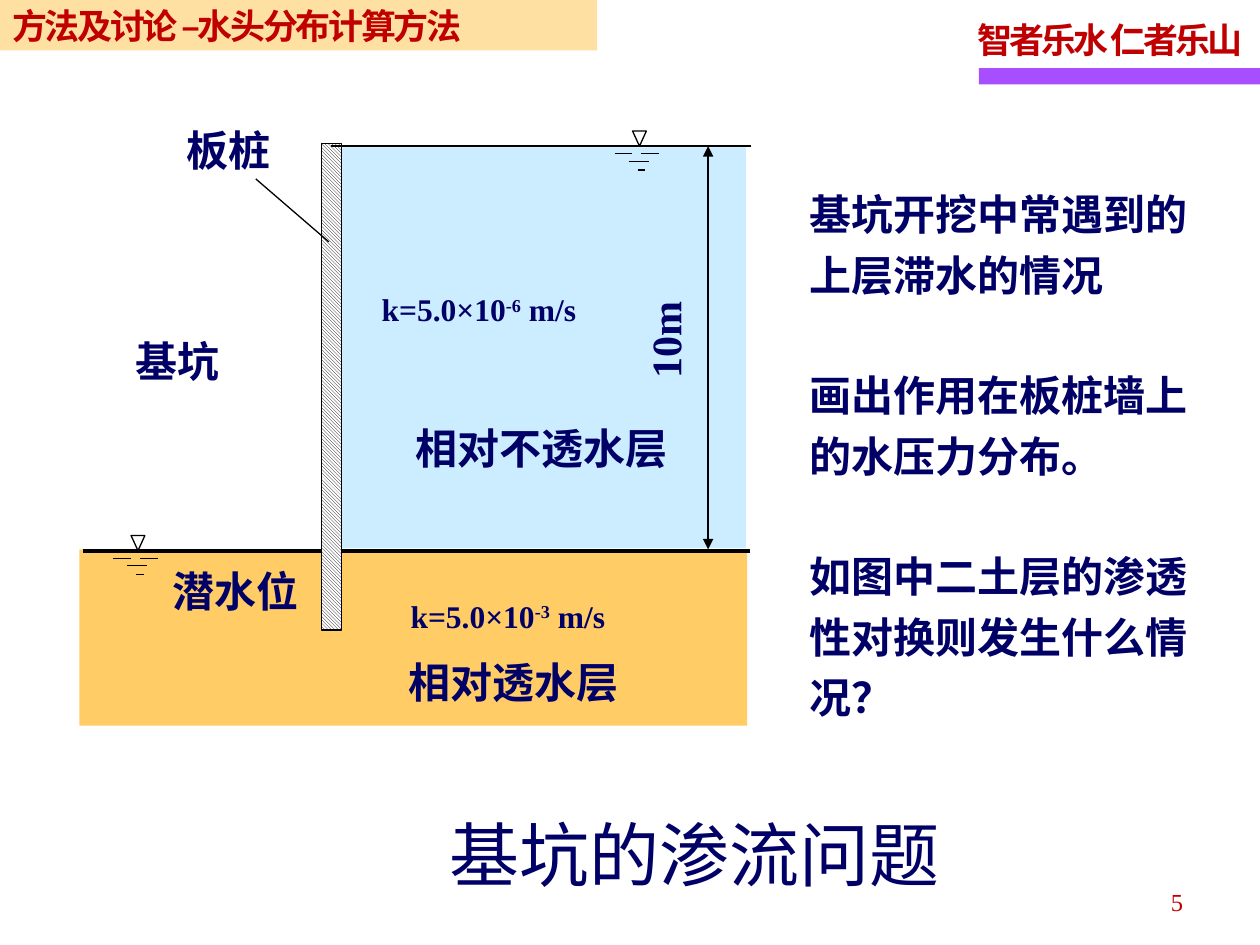
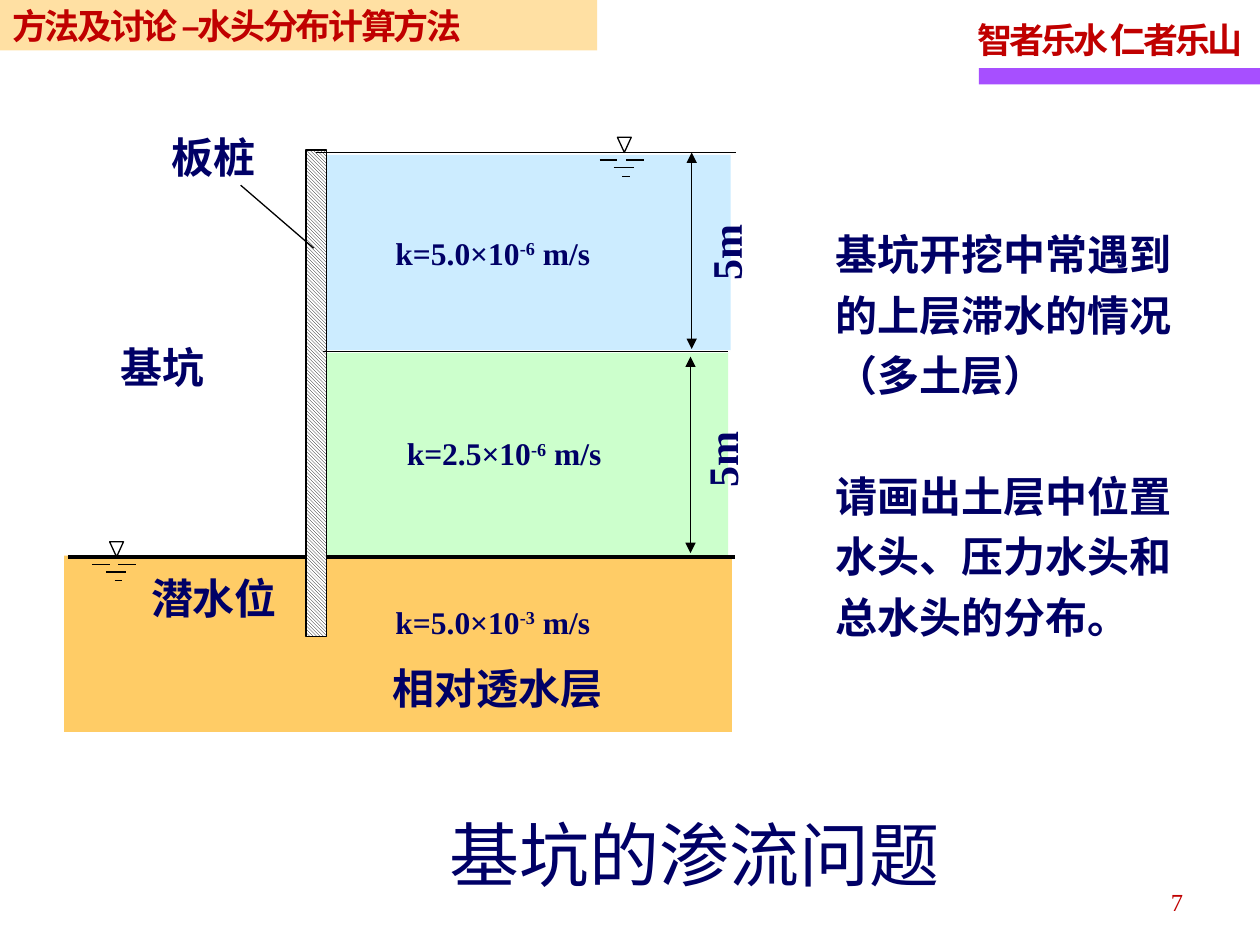
from dataclasses import dataclass

from lxml import etree
from pptx import Presentation
from pptx.dml.color import RGBColor
from pptx.enum.dml import MSO_PATTERN
from pptx.enum.shapes import MSO_CONNECTOR, MSO_SHAPE
from pptx.enum.text import MSO_ANCHOR, PP_ALIGN
from pptx.oxml.ns import qn
from pptx.util import Inches, Pt


@dataclass(frozen=True)
class Theme:
    ink: str = "000066"
    red: str = "C00000"
    purple: str = "A74FFF"
    sand: str = "FFCC66"
    water: str = "CCECFF"
    silt: str = "CCFFCC"
    black: str = "000000"
    white: str = "FFFFFF"
    latin: str = "Times New Roman"
    chinese: str = "Noto Sans CJK SC"
    title: float = 40
    label: float = 24
    header: float = 20
    formula: float = 18
    number: float = 14
    line_pitch: float = 34.5
    thin: float = 0.75
    thick: float = 2.25


class Deck:
    def __init__(self, theme):
        self.theme = theme
        self.presentation = Presentation()
        self.presentation.slide_width = Inches(10)
        self.presentation.slide_height = Inches(7.5)
        self.slide = None
        self.origin = (0, 0)

    def place(self, left, top):
        return Inches(left + self.origin[0]), Inches(top + self.origin[1])

    def add_slide(self, number):
        self.slide = self.presentation.slides.add_slide(self.presentation.slide_layouts[6])
        theme = self.theme
        self.block(7.77, 0.54, 2.23, 0.13, theme.purple)
        self.text(7.66, 0.07, 2.36, 0.49, ["智者乐水 仁者乐山"], size=theme.header,
                  color=theme.red, spacing=-1.7)
        self.text(7.16, 6.96, 2.33, 0.4, [number], size=theme.number,
                  color=theme.red, bold=False, align=PP_ALIGN.RIGHT)
        self.block(0, 0, 4.74, 0.4, theme.sand, opacity=60)
        self.text(0, 0, 4.74, 0.4, ["方法及讨论 –水头分布计算方法"], size=theme.header,
                  color=theme.red, font=theme.chinese, spacing=-1.4)
        self.text(3.47, 6.39, 4.09, 0.77, ["基坑的渗流问题"], size=theme.title, bold=False)

    def shape(self, kind, left, top, width, height):
        shape = self.slide.shapes.add_shape(
            kind, *self.place(left, top), Inches(width), Inches(height))
        shape.shadow.inherit = False
        return shape

    def outline(self, line, weight):
        line.color.rgb = RGBColor.from_string(self.theme.black)
        line.width = Pt(weight)

    def block(self, left, top, width, height, color, opacity=100):
        shape = self.shape(MSO_SHAPE.RECTANGLE, left, top, width, height)
        shape.fill.solid()
        shape.fill.fore_color.rgb = RGBColor.from_string(color)
        shape.line.fill.background()
        if opacity < 100:
            fill_color = shape._element.spPr.find(".//" + qn("a:srgbClr"))
            etree.SubElement(fill_color, qn("a:alpha"), val=str(opacity * 1000))

    def sheet_pile(self, left, top, width, height):
        shape = self.shape(MSO_SHAPE.RECTANGLE, left, top, width, height)
        shape.fill.patterned()
        shape.fill.pattern = MSO_PATTERN.LIGHT_DOWNWARD_DIAGONAL
        shape.fill.fore_color.rgb = RGBColor.from_string(self.theme.black)
        shape.fill.back_color.rgb = RGBColor.from_string(self.theme.white)
        self.outline(shape.line, self.theme.thin)

    def line(self, start, end, weight=None, arrows=False):
        connector = self.slide.shapes.add_connector(
            MSO_CONNECTOR.STRAIGHT, *self.place(*start), *self.place(*end))
        self.outline(connector.line, weight or self.theme.thin)
        properties = connector._element.spPr
        if arrows:
            for tag in ("a:headEnd", "a:tailEnd"):
                etree.SubElement(properties.find(qn("a:ln")), qn(tag), type="triangle")
        etree.SubElement(properties, qn("a:effectLst"))

    def water_mark(self, left, top):
        triangle = self.shape(MSO_SHAPE.ISOSCELES_TRIANGLE, left, top, 0.11, 0.12)
        triangle.rotation = 180
        triangle.fill.background()
        self.outline(triangle.line, self.theme.thin)
        for start, end, drop in ((-0.14, 0, 0.18), (0.07, 0.21, 0.18),
                                 (-0.03, 0.13, 0.24), (0.04, 0.1, 0.31)):
            self.line((left + start, top + drop), (left + end, top + drop))

    def text(self, left, top, width, height, paragraphs, size=None, color=None, bold=True,
             font=None, align=PP_ALIGN.LEFT, spacing=0, wrap=False, rotation=0):
        box = self.slide.shapes.add_textbox(
            *self.place(left, top), Inches(width), Inches(height))
        box.rotation = rotation
        frame = box.text_frame
        frame.word_wrap = wrap
        frame.vertical_anchor = MSO_ANCHOR.MIDDLE
        for index, content in enumerate(paragraphs):
            paragraph = frame.paragraphs[0] if index == 0 else frame.add_paragraph()
            paragraph.add_run().text = content
            paragraph.alignment = align
            paragraph.font.size = Pt(size or self.theme.label)
            paragraph.font.bold = bold
            paragraph.font.name = font or self.theme.latin
            paragraph.font.color.rgb = RGBColor.from_string(color or self.theme.ink)
            defaults = paragraph._p.pPr.find(qn("a:defRPr"))
            etree.SubElement(defaults, qn("a:ea"), typeface=self.theme.chinese)
            if spacing:
                defaults.set("spc", str(round(spacing * 100)))
        return frame

    def permeability(self, left, top, factor, exponent):
        frame = self.text(left, top, 1.85, 0.39, [f"k={factor}×10"], size=self.theme.formula)
        paragraph = frame.paragraphs[0]
        power = paragraph.add_run()
        power.text = exponent
        power._r.get_or_add_rPr().set("baseline", "30000")
        paragraph.add_run().text = " m/s"

    def dimension(self, x, top, bottom):
        self.line((x, top), (x, bottom), arrows=True)

    def dimension_label(self, left, top, width, content):
        self.text(left, top, width, 0.5, [content], rotation=270)

    def notes(self, left, top, width, height, paragraphs, gaps_before):
        frame = self.text(left, top, width, height, paragraphs, wrap=True)
        for index, paragraph in enumerate(frame.paragraphs):
            paragraph.line_spacing = Pt(self.theme.line_pitch)
            if index in gaps_before:
                paragraph.space_before = Pt(self.theme.line_pitch)

    def foundation_pit(self, layers, origin=(0, 0), phreatic_left=1.04):
        for left, top, height, color in layers:
            self.block(left, top, 3.27, height, color)
        self.origin = origin
        self.block(0.63, 4.36, 5.3, 1.4, self.theme.sand)
        self.line((0.66, 4.37), (5.95, 4.37), self.theme.thick)
        self.sheet_pile(2.55, 1.14, 0.16, 3.86)
        self.line((2.63, 1.16), (5.96, 1.16))
        self.line((2.03, 1.42), (2.61, 1.92))
        self.water_mark(5.02, 1.04)
        self.water_mark(phreatic_left, 4.25)
        for left, top, width, content in (
            (1.38, 0.94, 0.87, "板桩"),
            (0.98, 2.61, 0.87, "基坑"),
            (3.14, 5.16, 1.88, "相对透水层"),
            (phreatic_left + 0.23, 4.44, 1.21, "潜水位"),
        ):
            self.text(left, top, width, 0.5, [content])
        self.permeability(3.16, 4.69, "5.0", "-3")
        self.origin = (0, 0)


def single_layer_slide(deck):
    deck.add_slide("5")
    deck.foundation_pit([(2.65, 1.17, 3.18, deck.theme.water)])
    deck.permeability(2.93, 2.26, "5.0", "-6")
    deck.text(3.2, 3.3, 2.2, 0.5, ["相对不透水层"])
    deck.dimension(5.62, 1.16, 4.36)
    deck.dimension_label(4.87, 2.45, 0.81, "10m")
    deck.notes(6.33, 1.37, 3.32, 4.41, [
        "基坑开挖中常遇到的上层滞水的情况",
        "画出作用在板桩墙上的水压力分布。",
        "如图中二土层的渗透性对换则发生什么情况？",
    ], gaps_before=(1, 2))


def multi_layer_slide(deck):
    deck.add_slide("7")
    deck.foundation_pit([
        (2.51, 2.8, 1.65, deck.theme.silt),
        (2.53, 1.23, 1.55, deck.theme.water),
    ], origin=(-0.12, 0.05), phreatic_left=0.99)
    deck.line((2.56, 2.79), (5.78, 2.79))
    deck.permeability(3.04, 1.81, "5.0", "-6")
    deck.permeability(3.13, 3.4, "2.5", "-6")
    deck.dimension(5.49, 1.21, 2.77)
    deck.dimension_label(5.43, 1.75, 0.65, "5m")
    deck.dimension(5.48, 2.83, 4.39)
    deck.dimension_label(5.4, 3.39, 0.65, "5m")
    deck.notes(6.53, 1.69, 3.08, 3.45, [
        "基坑开挖中常遇到的上层滞水的情况",
        "（多土层）",
        "请画出土层中位置水头、压力水头和总水头的分布。",
    ], gaps_before=(2,))


def main():
    deck = Deck(Theme())
    single_layer_slide(deck)
    multi_layer_slide(deck)
    deck.presentation.save("out.pptx")


if __name__ == "__main__":
    main()
